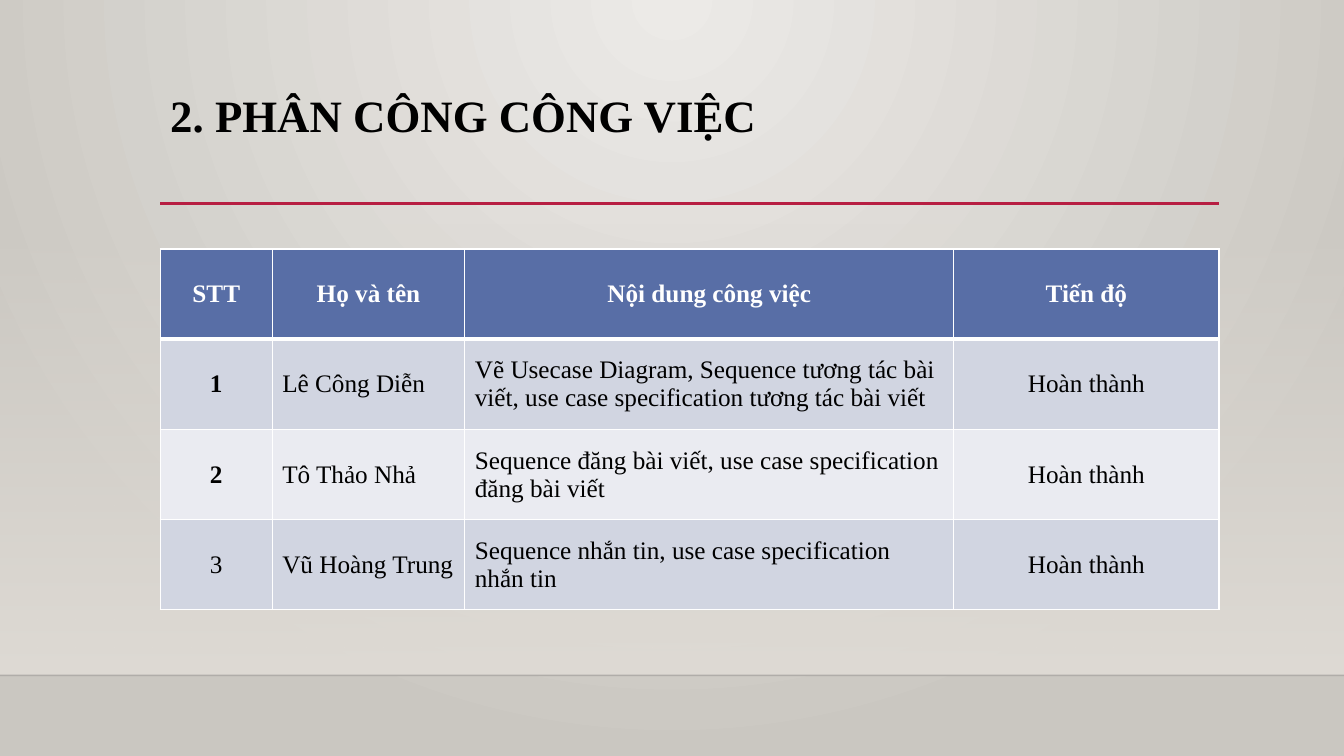
from lxml.etree import SubElement
from pptx import Presentation
from pptx.dml.color import RGBColor
from pptx.enum.shapes import MSO_CONNECTOR, MSO_SHAPE
from pptx.enum.text import MSO_ANCHOR, PP_ALIGN
from pptx.oxml.ns import qn
from pptx.util import Inches, Pt

COLORS = {
    "glow": "ECEAE7", "edge": "CAC7C1", "wall": "DFDBD5", "floor": "000001",
    "accent": "B71E42", "text": "000000", "white": "FFFFFF",
    "header": "586EA6", "odd": "D1D5E1", "even": "EAEBF1",
}
FONT = "Times New Roman"
WIDTH, HEIGHT = 13.33, 7.5
LEFT, CONTENT_WIDTH, FLOOR_TOP = 1.59, 10.5, 6.7


def rgb(name):
    return RGBColor.from_string(COLORS[name])


def set_alpha(owner, percent):
    color = next(owner.iter(qn("a:srgbClr")))
    SubElement(color, qn("a:alpha"), val=str(percent * 1000))


class SlideBuilder:
    def __init__(self, slide):
        self.slide = slide

    def background(self, center, edge):
        fill = self.slide.background.fill
        fill.gradient()
        for stop, name in zip(fill.gradient_stops, (center, edge)):
            stop.color.rgb = rgb(name)
        gradient = next(self.slide.element.iter(qn("a:gradFill")))
        gradient.remove(gradient.find(qn("a:lin")))
        circle = SubElement(gradient, qn("a:path"), path="circle")
        SubElement(circle, qn("a:fillToRect"), l="43000", t="0", r="43000", b="100000")

    def fade(self, top, bottom, name):
        """Full-width band that goes from clear at the top to solid."""
        band = self.slide.shapes.add_shape(
            MSO_SHAPE.RECTANGLE, 0, Inches(top), Inches(WIDTH), Inches(bottom - top))
        band.shadow.inherit = False
        band.line.fill.background()
        band.fill.gradient()
        band.fill.gradient_angle = 270
        for stop in band.fill.gradient_stops:
            stop.color.rgb = rgb(name)
        set_alpha(band.element.spPr, 0)

    def rule(self, left, right, y, name, weight, opacity=100):
        rule = self.slide.shapes.add_connector(
            MSO_CONNECTOR.STRAIGHT, Inches(left), Inches(y), Inches(right), Inches(y))
        rule.line.color.rgb = rgb(name)
        rule.line.width = Pt(weight)
        SubElement(rule.element.spPr, qn("a:effectLst"))
        if opacity < 100:
            set_alpha(rule.element.spPr, opacity)

    def style_text(self, paragraph, size, name, bold):
        for run in paragraph.runs:
            run.font.name = FONT
            run.font.size = Pt(size)
            run.font.bold = bold
            run.font.color.rgb = rgb(name)

    def title(self, text, left, top, width, height):
        frame = self.slide.shapes.add_textbox(
            Inches(left), Inches(top), Inches(width), Inches(height)).text_frame
        frame.word_wrap = True
        frame.text = text
        frame.paragraphs[0].line_spacing = 0.9
        self.style_text(frame.paragraphs[0], 32, "text", True)

    def cell(self, cell, text, fill, color, bold, centered, borders):
        cell.text = text
        cell.vertical_anchor = MSO_ANCHOR.MIDDLE
        paragraph = cell.text_frame.paragraphs[0]
        paragraph.alignment = PP_ALIGN.CENTER if centered else PP_ALIGN.LEFT
        self.style_text(paragraph, 18, color, bold)
        # Borders come before the fill in the cell properties
        properties = cell._tc.get_or_add_tcPr()
        for side, weight in borders.items():
            border = SubElement(properties, qn(f"a:ln{side}"), w=str(Pt(weight)))
            solid = SubElement(border, qn("a:solidFill"))
            SubElement(solid, qn("a:srgbClr"), val=COLORS["white"])
        cell.fill.solid()
        cell.fill.fore_color.rgb = rgb(fill)

    def table(self, rows, left, top, height, widths, centered, bold_cells):
        table = self.slide.shapes.add_table(
            len(rows), len(widths), Inches(left), Inches(top),
            Inches(sum(widths)), Inches(height)).table
        for column, width in zip(table.columns, widths):
            column.width = Inches(width)
        for r, row in enumerate(rows):
            is_header = r == 0
            fill = "header" if is_header else "odd" if r % 2 else "even"
            borders = {"L": 1, "R": 1, "T": 3 if r == 1 else 1, "B": 3 if is_header else 1}
            for c, text in enumerate(row):
                self.cell(table.cell(r, c), text, fill,
                          "white" if is_header else "text",
                          is_header or (r, c) in bold_cells,
                          is_header or c in centered, borders)


def main():
    presentation = Presentation()
    presentation.slide_width = Inches(WIDTH)
    presentation.slide_height = Inches(HEIGHT)
    builder = SlideBuilder(presentation.slides.add_slide(presentation.slide_layouts[6]))

    # Backdrop: wall, floor edge and title rule
    builder.background("glow", "edge")
    builder.fade(2.21, FLOOR_TOP, "wall")
    builder.rule(0, WIDTH, FLOOR_TOP, "floor", 1, opacity=20)
    builder.rule(LEFT, LEFT + CONTENT_WIDTH, 2.02, "accent", 2.5)

    # Title
    builder.title("2. PHÂN CÔNG CÔNG VIỆC", LEFT, 0.88, CONTENT_WIDTH, 1.15)

    # Work assignments
    done = "Hoàn thành"
    assignments = [
        ("STT", "Họ và tên", "Nội dung công việc", "Tiến độ"),
        ("1", "Lê Công Diễn", "Vẽ Usecase Diagram, Sequence tương tác bài viết, "
         "use case specification tương tác bài viết", done),
        ("2", "Tô Thảo Nhả",
         "Sequence đăng bài viết, use case specification đăng bài viết", done),
        ("3", "Vũ Hoàng Trung",
         "Sequence nhắn tin, use case specification nhắn tin", done),
    ]
    builder.table(assignments, LEFT, 2.47, 3.58, (1.11, 1.91, 4.85, 2.63),
                  centered={0, 3}, bold_cells={(1, 0), (2, 0)})

    presentation.save("out.pptx")


if __name__ == "__main__":
    main()
